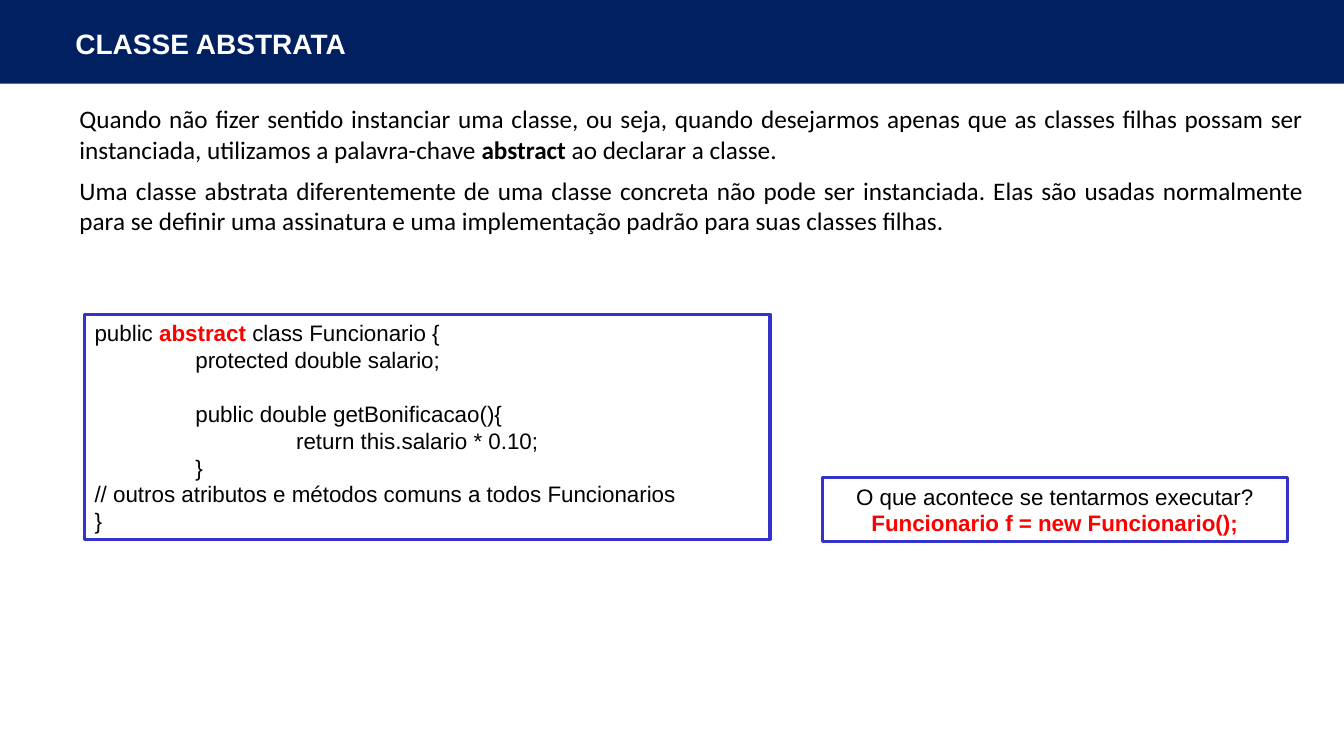
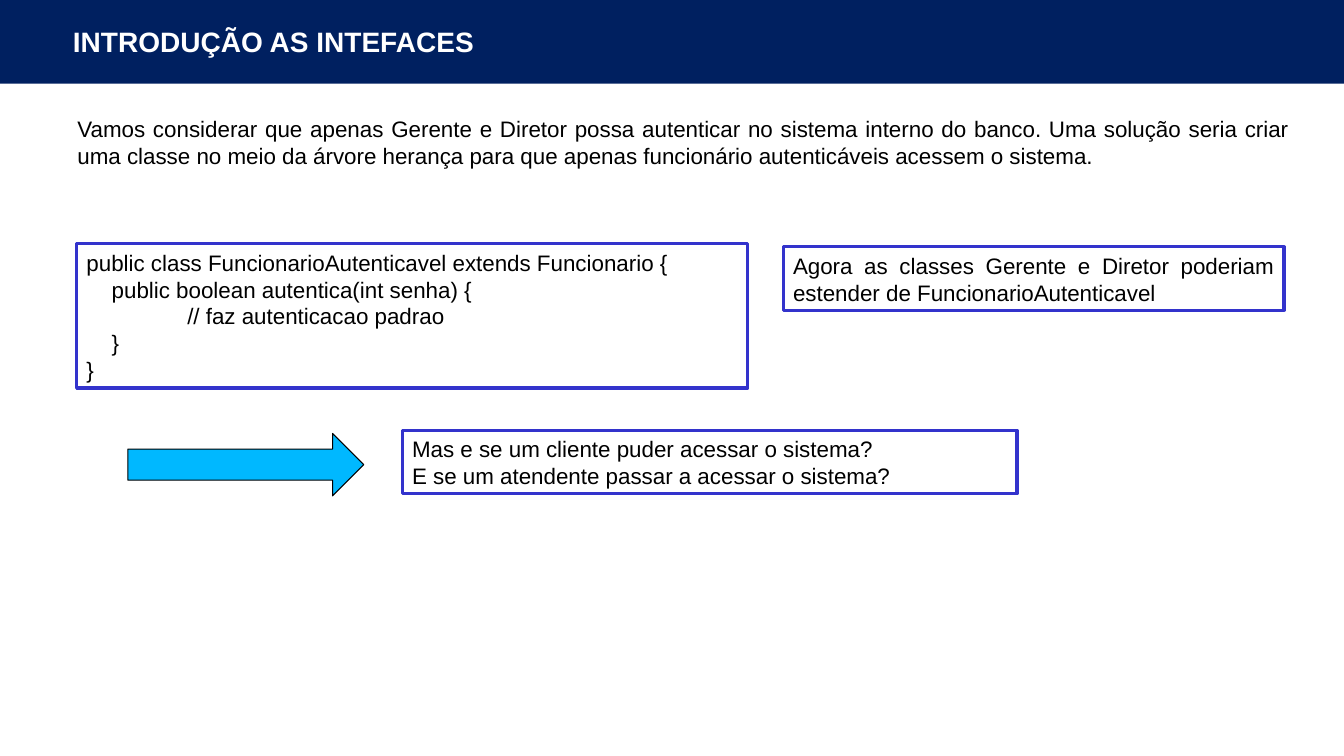
from pptx import Presentation
from pptx.dml.color import RGBColor
from pptx.enum.shapes import MSO_SHAPE
from pptx.enum.text import MSO_ANCHOR, PP_ALIGN
from pptx.util import Pt

RECT, ARROW = MSO_SHAPE.RECTANGLE, MSO_SHAPE.RIGHT_ARROW
TOP, MIDDLE = MSO_ANCHOR.TOP, MSO_ANCHOR.MIDDLE
LEFT, CENTER, JUSTIFY = PP_ALIGN.LEFT, PP_ALIGN.CENTER, PP_ALIGN.JUSTIFY

NAVY = RGBColor(0x00, 0x20, 0x60)
BLUE = RGBColor(0x33, 0x33, 0xCC)
SKY = RGBColor(0x00, 0xB8, 0xFF)
RED = RGBColor(0xFF, 0x00, 0x00)
BLACK = RGBColor(0x00, 0x00, 0x00)
WHITE = RGBColor(0xFF, 0xFF, 0xFF)

WIDTH, HEIGHT, BAND = 960, 540, 59.8
TAB, ROW = 72, 19.2

PLAIN = {"size": Pt(16), "name": "Arial", "bold": False}
LARGE = {"size": Pt(18), "name": "Calibri", "bold": False}
HEAD = {"size": Pt(20), "name": "Arial", "bold": True}
BOLD = {"bold": True}

# Each line is (indent, space before, runs); a run is (text, colour, extra format).
SLIDES = [
    {
        "title": ("CLASSE ABSTRATA", (46.8, 0, 864, 61.2)),
        "body": ((49.7, 70.6, 888.5, 133.9), LARGE, [
            (0, 0, [
                ("Quando não fizer sentido instanciar uma classe, ou seja, quando "
                 "desejarmos apenas que as classes filhas possam ser instanciada, "
                 "utilizamos a palavra-chave ", BLACK, {}),
                ("abstract", BLACK, BOLD),
                (" ao declarar a classe.", BLACK, {})]),
            (0, 8, [
                ("Uma classe abstrata diferentemente de uma classe concreta não pode "
                 "ser instanciada. Elas são usadas normalmente para se definir uma "
                 "assinatura e uma implementação padrão para suas classes filhas.",
                 BLACK, {})]),
        ]),
        "boxes": [
            ((60.5, 224.6, 489.6, 160.6), LEFT, [
                (0, 0, [("public ", BLACK, {}), ("abstract", RED, BOLD),
                        (" class Funcionario {", BLACK, {})]),
                (TAB, 0, [("protected double salario;", BLACK, {})]),
                (TAB, ROW, [("public double getBonificacao(){", BLACK, {})]),
                (2 * TAB, 0, [("return this.salario * 0.10;", BLACK, {})]),
                (TAB, 0, [("}", BLACK, {})]),
                (0, 0, [("// outros atributos e métodos comuns a todos Funcionarios",
                         BLACK, {})]),
                (0, 0, [("}", BLACK, {})]),
            ]),
            ((587.5, 341.3, 331.9, 45.4), CENTER, [
                (0, 0, [("O que acontece se tentarmos executar?", BLACK, {})]),
                (0, 0, [("Funcionario f = new Funcionario();", RED, BOLD)]),
            ]),
        ],
        "arrows": [],
    },
    {
        "title": ("INTRODUÇÃO AS INTEFACES", (45, 13.7, 301, 31.7)),
        "body": ((48.2, 78.5, 879.8, 77.8), PLAIN, [
            (0, 0, [
                ("Vamos considerar que apenas Gerente e Diretor possa autenticar no "
                 "sistema interno do banco. Uma solução seria criar uma classe no meio "
                 "da árvore herança para que apenas funcionário autenticáveis acessem "
                 "o sistema.", BLACK, {})]),
        ]),
        "boxes": [
            ((54.7, 174.2, 479.5, 103), LEFT, [
                (0, 0, [("public class FuncionarioAutenticavel extends Funcionario {",
                         BLACK, {})]),
                (TAB / 4, 0, [("public boolean autentica(int senha) {", BLACK, {})]),
                (TAB, 0, [("// faz autenticacao padrao", BLACK, {})]),
                (TAB / 4, 0, [("}", BLACK, {})]),
                (0, 0, [("}", BLACK, {})]),
            ]),
            ((559.4, 176.4, 357.8, 45.4), JUSTIFY, [
                (0, 0, [("Agora as classes Gerente e Diretor poderiam estender de "
                         "FuncionarioAutenticavel", BLACK, {})]),
            ]),
            ((287.3, 307.4, 439.2, 45.4), LEFT, [
                (0, 0, [("Mas e se um cliente puder acessar o sistema?", BLACK, {})]),
                (0, 0, [("E se um atendente passar a acessar o sistema?", BLACK, {})]),
            ]),
        ],
        "arrows": [(91.4, 309.6, 168.5, 44.6)],
    },
]


def add_form(slide, kind, place, fill=None, line=None, weight=0):
    form = slide.shapes.add_shape(kind, *map(Pt, place))
    form.shadow.inherit = False
    for part, color in ((form.fill, fill), (form.line.fill, line)):
        if color is None:
            part.background()
        else:
            part.solid()
            part.fore_color.rgb = color
    if line is not None:
        form.line.width = Pt(weight)
    return form


def write(shape, lines, style, align=LEFT, anchor=TOP):
    frame = shape.text_frame
    frame.word_wrap = True
    frame.vertical_anchor = anchor
    for i, (indent, before, runs) in enumerate(lines):
        par = frame.paragraphs[0] if i == 0 else frame.add_paragraph()
        par.alignment = align
        par.space_before = Pt(before)
        par._p.get_or_add_pPr().set("marL", str(Pt(indent)))
        for text, color, extra in runs:
            run = par.add_run()
            run.text = text
            run.font.color.rgb = color
            for key, value in {**style, **extra}.items():
                setattr(run.font, key, value)


def add_text(slide, place, *args, **more):
    write(slide.shapes.add_textbox(*map(Pt, place)), *args, **more)


def build(deck, page):
    slide = deck.slides.add_slide(deck.slide_layouts[6])
    add_form(slide, RECT, (0, 0, WIDTH, BAND), NAVY)
    title, place = page["title"]
    add_text(slide, place, [(0, 0, [(title, WHITE, {})])], HEAD, anchor=MIDDLE)
    place, style, lines = page["body"]
    add_text(slide, place, lines, style, align=JUSTIFY)
    for place, align, lines in page["boxes"]:
        write(add_form(slide, RECT, place, line=BLUE, weight=2.25), lines, PLAIN, align)
    for place in page["arrows"]:
        add_form(slide, ARROW, place, SKY, BLACK, 0.75)


def main():
    deck = Presentation()
    deck.slide_width, deck.slide_height = Pt(WIDTH), Pt(HEIGHT)
    for page in SLIDES:
        build(deck, page)
    deck.save("out.pptx")


if __name__ == "__main__":
    main()
